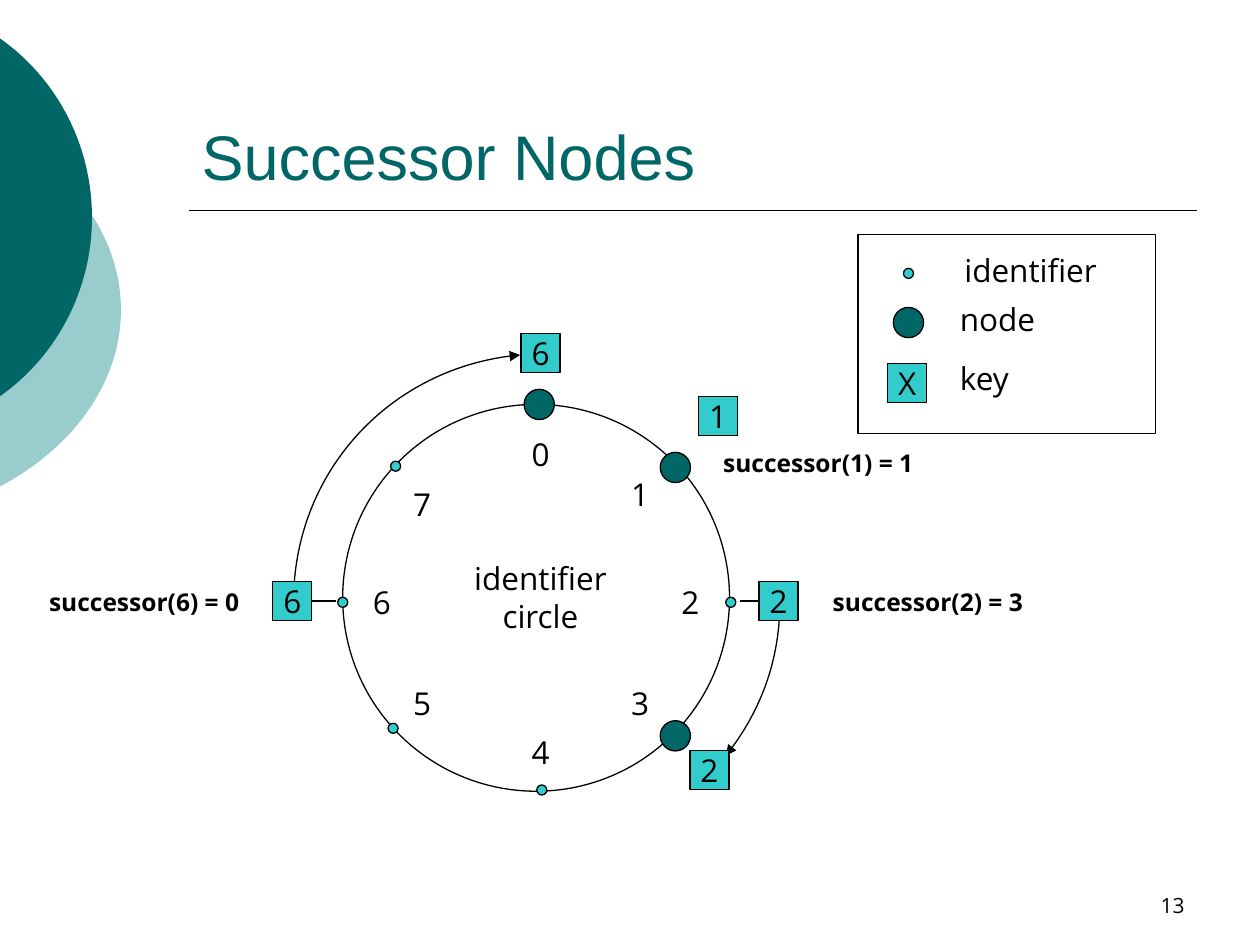
"""Builds the slide on successor nodes of an identifier circle."""
from copy import deepcopy
from math import cos, radians, sin, tan

from lxml import etree
from pptx import Presentation
from pptx.dml.color import RGBColor
from pptx.enum.shapes import MSO_CONNECTOR, MSO_SHAPE
from pptx.enum.text import MSO_ANCHOR as ANCHOR, PP_ALIGN as ALIGN
from pptx.oxml.ns import qn
from pptx.util import Inches, Pt

TITLE = "Successor Nodes"
PAGE = "13"
BLACK, DARK, LIGHT, PALE = "000000", "006666", "33CCCC", "99CCCC"
BODY = "Open Sans"
DOT, NODE, KEY = 0.08, 0.24, 0.31

BACKDROPS = [((-3.54, 0.75, 4.5, 3.42), PALE), ((-2.65, 0, 3.38, 3.45), DARK)]
RING = (2.72, 3.21, 3.07, 3.07)
LEGEND = (6.81, 1.86, 2.36, 1.58)
MOVES = [((4.3, 4.78), 180, 265), ((4.22, 4.77), 0, 38.5)]
MOVE_RADIUS = 1.97
LINKS = [(2.67, 2.35), (6.18, 5.87)]
LINK_Y = 4.77

IDENTIFIERS = [(5.8, 4.78), (4.3, 6.27), (3.12, 5.78), (2.72, 4.78), (3.14, 3.7),
               (7.21, 2.17)]
NODES = [(4.28, 3.21), (5.36, 3.71), (5.36, 5.84), (7.21, 2.56)]
KEYS = [("6", 4.29, 2.8), ("1", 5.7, 3.3), ("2", 5.63, 6.11),
        ("6", 2.32, 4.77), ("2", 6.18, 4.77), ("X", 7.2, 3.04)]
NUMBERS = [("0", 4.29, 3.6), ("1", 5.08, 3.92), ("2", 5.48, 4.78),
           ("3", 5.08, 5.58), ("4", 4.29, 5.97), ("5", 3.35, 5.58),
           ("6", 3.03, 4.78), ("7", 3.35, 4.0)]
SUCCESSORS = [("successor(1) = 1", 5.63, 3.52), ("successor(2) = 3", 6.5, 4.62),
              ("successor(6) = 0", 0.28, 4.62)]
LEGEND_NAMES = [("identifier", 7.55, 2.02, ALIGN.CENTER),
                ("node", 7.52, 2.41, ALIGN.LEFT), ("key", 7.52, 2.88, ALIGN.LEFT)]


def rgb(code):
    """Turn a hex string into a colour."""
    return RGBColor.from_string(code)


def paint(shape, fill=None, line=BLACK):
    """Set fill and outline, and drop the shadow."""
    shape.shadow.inherit = False
    if fill:
        shape.fill.solid()
        shape.fill.fore_color.rgb = rgb(fill)
    else:
        shape.fill.background()
    if line:
        shape.line.color.rgb = rgb(line)
        shape.line.width = Pt(0.75)
    else:
        shape.line.fill.background()
    return shape


def write(shape, text, size=18, align=ALIGN.CENTER, anchor=ANCHOR.MIDDLE,
          font=BODY, color=BLACK, bold=False):
    """Put formatted text into a shape."""
    frame = shape.text_frame
    frame.text = text
    frame.vertical_anchor = anchor
    frame.word_wrap = align != ALIGN.CENTER
    if not frame.word_wrap:
        frame.margin_left = frame.margin_right = 0
        frame.margin_top = frame.margin_bottom = 0
    for paragraph in frame.paragraphs:
        paragraph.alignment = align
        paragraph.font.size = Pt(size)
        paragraph.font.name = font
        paragraph.font.bold = bold
        paragraph.font.color.rgb = rgb(color)


def label(text, box, **style):
    """Add a text box."""
    write(slide.shapes.add_textbox(*map(Inches, box)), text, **style)


def centered(x, y, size):
    """Give the box of a square around a point."""
    return x - size / 2, y - size / 2, size, size


def add(kind, box, fill=None, line=BLACK):
    """Add a preset shape with a thin outline."""
    return paint(slide.shapes.add_shape(kind, *map(Inches, box)), fill, line)


def add_move(center, start, end):
    """Draw a curved arrow, clockwise in degrees, framed by its sector."""
    a, b = radians(start), radians(end)
    pull = 4 / 3 * tan((b - a) / 4)

    def spot(angle, along=0):
        return (Inches(center[0] + MOVE_RADIUS * (cos(angle) - along * sin(angle))),
                Inches(center[1] + MOVE_RADIUS * (sin(angle) + along * cos(angle))))

    outline = slide.shapes.build_freeform(*spot(a))
    outline.add_line_segments([spot(b), tuple(map(Inches, center))], close=True)
    move = paint(outline.convert_to_shape())
    sector = move._element.spPr.find(".//" + qn("a:path"))
    bend = etree.Element(qn("a:cubicBezTo"))
    for x, y in (spot(a, pull), spot(b, -pull), spot(b)):
        etree.SubElement(bend, qn("a:pt"), x=str(x - move.left), y=str(y - move.top))
    sector.replace(sector[1], bend)
    curve = deepcopy(sector)
    for side in curve[2:]:
        curve.remove(side)
    curve.set("fill", "none")
    sector.set("stroke", "0")
    sector.addprevious(curve)
    etree.SubElement(move.line._get_or_add_ln(), qn("a:tailEnd"), type="triangle")


def rule(x1, x2, y, width):
    """Draw a horizontal line."""
    line = slide.shapes.add_connector(MSO_CONNECTOR.STRAIGHT, *map(Inches, (x1, y, x2, y)))
    line.line.color.rgb = rgb(BLACK)
    line.line.width = Pt(width)
    etree.SubElement(line._element.spPr, qn("a:effectLst"))


prs = Presentation()
prs.slide_width, prs.slide_height = Inches(10), Inches(7.5)
slide = prs.slides.add_slide(prs.slide_layouts[5])

for box, color in BACKDROPS:
    add(MSO_SHAPE.OVAL, box, color, line=None)
rule(1.5, 9.5, 1.67, 1)

title = slide.shapes.title
title.left, title.top, title.width, title.height = map(Inches, (1.5, 0.33, 8, 1.25))
write(title, TITLE, 36, ALIGN.LEFT, ANCHOR.BOTTOM, "Arial", DARK)
label(PAGE, (7.17, 6.83, 2.33, 0.5), size=12, align=ALIGN.RIGHT, anchor=ANCHOR.BOTTOM)

for center, start, end in MOVES:
    add_move(center, start, end)
for x1, x2 in LINKS:
    rule(x1, x2, LINK_Y, 0.75)

add(MSO_SHAPE.OVAL, RING)
add(MSO_SHAPE.RECTANGLE, LEGEND)
for x, y in IDENTIFIERS:
    add(MSO_SHAPE.OVAL, centered(x, y, DOT), LIGHT)
for x, y in NODES:
    add(MSO_SHAPE.OVAL, centered(x, y, NODE), DARK)
for key, x, y in KEYS:
    write(add(MSO_SHAPE.RECTANGLE, centered(x, y, KEY), LIGHT), key)

for number, x, y in NUMBERS:
    label(number, centered(x, y, KEY))
label("identifier\ncircle", (3.66, 4.38, 1.26, 0.71))
for name, x, y, align in LEGEND_NAMES:
    label(name, (x, y, 1.26, 0.24), align=align)
for successor, x, y in SUCCESSORS:
    label(successor, (x, y, 1.73, 0.31), size=14, bold=True)

prs.save("out.pptx")
